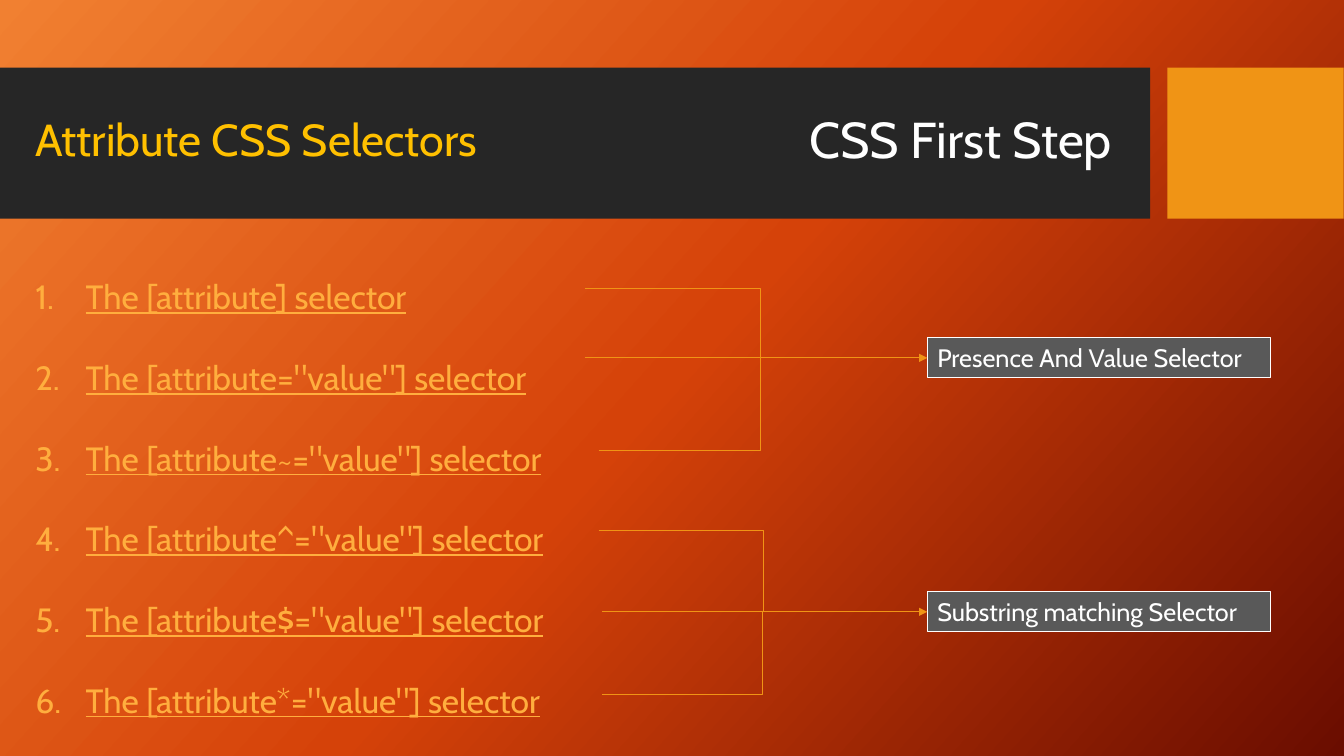
import copy
from dataclasses import dataclass

import pptx
import pptx.dml.color
import pptx.enum.shapes
import pptx.enum.text
import pptx.oxml
import pptx.oxml.ns
import pptx.shapes.autoshape
import pptx.slide
import pptx.text.text
import pptx.util

RGBColor = pptx.dml.color.RGBColor
ORANGE = RGBColor(0xF0, 0x94, 0x15)
CHARCOAL = RGBColor(0x26, 0x26, 0x26)
GRAY = RGBColor(0x59, 0x59, 0x59)
WHITE = RGBColor(0xFF, 0xFF, 0xFF)
GOLD = RGBColor(0xFF, 0xC0, 0x00)
AMBER = RGBColor(0xFF, 0xAE, 0x3E)
GRADIENT = (
    (0.0, RGBColor(0xF1, 0x80, 0x31)),
    (0.5, RGBColor(0xD5, 0x42, 0x09)),
    (1.0, RGBColor(0x6A, 0x0D, 0x00)),
)

FONT = "Cabin"
COLUMNS, ROWS = 133.33, 75
CELL = pptx.util.Inches(0.1)
LINE = pptx.util.Pt(0.75)
LABEL_LEFT, LABEL_WIDTH, LABEL_HEIGHT = 92, 34, 4
OPERATORS = ("", '="value"', '~="value"', '^="value"', '$="value"', '*="value"')


@dataclass(frozen=True)
class Box:
    left: float
    top: float
    width: float
    height: float

    def lengths(self) -> tuple[int, int, int, int]:
        return cells(self.left), cells(self.top), cells(self.width), cells(self.height)


@dataclass(frozen=True)
class Branch:
    """A line between grid points; bend is the column where an elbow turns."""
    x1: float
    y1: float
    x2: float
    y2: float
    bend: float | None = None
    arrow: bool = False


@dataclass(frozen=True)
class SelectorGroup:
    label: str
    top: float
    branches: tuple[Branch, ...]


GROUPS = (
    SelectorGroup("Presence And Value Selector", 33.5, (
        Branch(58, 35.5, 75.7, 35.5),
        Branch(58, 28.6, LABEL_LEFT, 35.5, bend=75.4, arrow=True),
        Branch(59.4, 44.7, 77.8, 35.5, bend=75.4),
    )),
    SelectorGroup("Substring matching Selector", 58.7, (
        Branch(59.4, 52.6, LABEL_LEFT, 60.7, bend=75.7, arrow=True),
        Branch(59.7, 68.9, 91.8, 60.7, bend=75.7),
        Branch(75.7, 60.7, 59.7, 60.7),
    )),
)


def cells(count: float) -> int:
    return round(count * CELL)


def place(sp: pptx.shapes.autoshape.Shape, box: Box) -> None:
    sp.left, sp.top, sp.width, sp.height = box.lengths()


def style(p: pptx.text.text._Paragraph, size: float, color: RGBColor) -> None:
    p.alignment = pptx.enum.text.PP_ALIGN.LEFT
    p.font.name = FONT
    p.font.size = pptx.util.Pt(size)
    p.font.color.rgb = color


def paint_background(slide: pptx.slide.Slide) -> None:
    fill = slide.background.fill
    fill.gradient()
    fill.gradient_angle = 360 - 42
    stop_list = fill._fill._gradFill.gsLst
    stop_list.insert(1, copy.deepcopy(stop_list[0]))
    for stop, (position, color) in zip(fill.gradient_stops, GRADIENT):
        stop.position = position
        stop.color.rgb = color


def add_block(slide: pptx.slide.Slide, box: Box, color: RGBColor) -> pptx.shapes.autoshape.Shape:
    sp = slide.shapes.add_shape(pptx.enum.shapes.MSO_SHAPE.RECTANGLE, *box.lengths())
    sp.shadow.inherit = False
    sp.fill.solid()
    sp.fill.fore_color.rgb = color
    sp.line.fill.background()
    return sp


def add_branch(slide: pptx.slide.Slide, branch: Branch) -> None:
    kinds = pptx.enum.shapes.MSO_CONNECTOR
    kind = kinds.STRAIGHT if branch.bend is None else kinds.ELBOW
    points = (branch.x1, branch.y1, branch.x2, branch.y2)
    line = slide.shapes.add_connector(kind, *map(cells, points))
    line.line.color.rgb = ORANGE
    line.line.width = LINE
    props = line._element.spPr
    pptx.oxml.ns.qn("a:effectLst")
    add_child(props, "a:effectLst")
    if branch.bend is not None:
        share = (branch.bend - branch.x1) / (branch.x2 - branch.x1)
        guides = props.find(pptx.oxml.ns.qn("a:prstGeom")).get_or_add_avLst()
        add_child(guides, "a:gd", name="adj1", fmla=f"val {round(share * 100000)}")
    if branch.arrow:
        add_child(line.line._get_or_add_ln(), "a:tailEnd", type="triangle")


def add_child(parent: pptx.oxml.xmlchemy.BaseOxmlElement, tag: str, **attributes: str) -> None:
    child = pptx.oxml.parse_xml(f"<{tag} {pptx.oxml.ns.nsdecls('a')}/>")
    for name, value in attributes.items():
        child.set(name, value)
    parent.append(child)


def add_group(slide: pptx.slide.Slide, group: SelectorGroup) -> None:
    sp = add_block(slide, Box(LABEL_LEFT, group.top, LABEL_WIDTH, LABEL_HEIGHT), GRAY)
    sp.line.color.rgb = WHITE
    sp.line.width = LINE
    sp.text_frame.text = group.label
    style(sp.text_frame.paragraphs[0], 18, WHITE)
    for branch in group.branches:
        add_branch(slide, branch)


def fill_title(sp: pptx.shapes.autoshape.Shape) -> None:
    place(sp, Box(79.3, 8.2, 34, 11.8))
    tf = sp.text_frame
    tf.text = "CSS First Step"
    tf.vertical_anchor = pptx.enum.text.MSO_ANCHOR.MIDDLE
    tf.paragraphs[0].line_spacing = 0.9
    style(tf.paragraphs[0], 36, WHITE)


def fill_selectors(sp: pptx.shapes.autoshape.Shape) -> None:
    place(sp, Box(2.5, 22.9, 63.3, 49.1))
    tf = sp.text_frame
    tf.auto_size = pptx.enum.text.MSO_AUTO_SIZE.NONE
    tf.text = "\n".join(f"The [attribute{operator}] selector" for operator in OPERATORS)
    for p in tf.paragraphs:
        style(p, 24, AMBER)
        p.font.underline = True
        p.line_spacing = 2.0
        p.space_before = pptx.util.Pt(0)
        props = p._p.get_or_add_pPr()
        props.set("marL", str(cells(5)))
        props.set("indent", str(cells(-5)))
        numbering = pptx.oxml.parse_xml(
            f'<a:buAutoNum {pptx.oxml.ns.nsdecls("a")} type="arabicPeriod"/>')
        props.find(pptx.oxml.ns.qn("a:defRPr")).addprevious(numbering)


def add_subtitle(slide: pptx.slide.Slide) -> None:
    tf = slide.shapes.add_textbox(*Box(2.5, 10.6, 56.8, 9.4).lengths()).text_frame
    tf.word_wrap = True
    tf.text = "Attribute CSS Selectors"
    style(tf.paragraphs[0], 32, GOLD)


def main() -> None:
    prs = pptx.Presentation()
    prs.slide_width, prs.slide_height = cells(COLUMNS), cells(ROWS)
    slide = prs.slides.add_slide(prs.slide_layouts[1])
    paint_background(slide)
    title, body = slide.placeholders
    blocks = (
        add_block(slide, Box(0, 6.7, 114.1, 15), CHARCOAL),
        add_block(slide, Box(115.8, 6.7, 17.5, 15), ORANGE),
    )
    for sp in blocks:
        title._element.addprevious(sp._element)
    fill_title(title)
    fill_selectors(body)
    add_subtitle(slide)
    for group in GROUPS:
        add_group(slide, group)
    prs.save("out.pptx")


if __name__ == "__main__":
    main()
